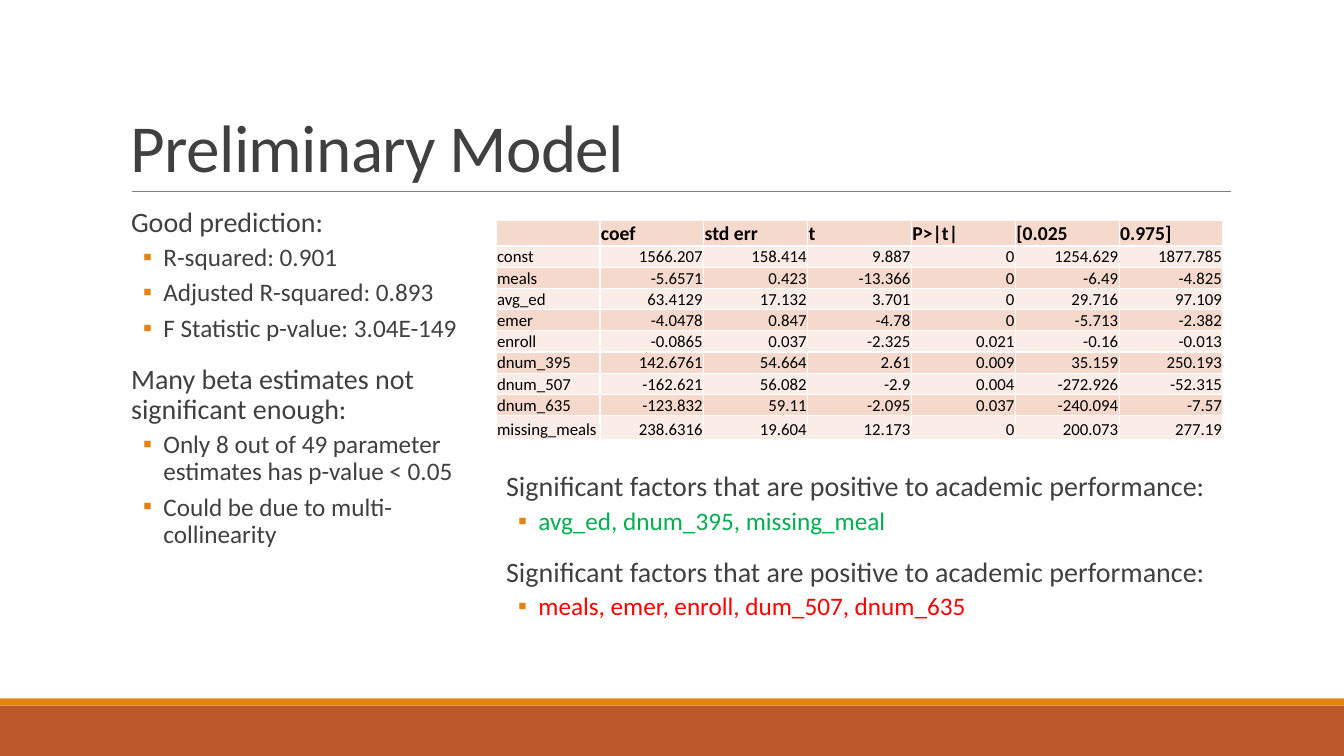
from lxml import etree
from pptx import Presentation
from pptx.dml.color import RGBColor
from pptx.enum.shapes import MSO_CONNECTOR, MSO_SHAPE
from pptx.enum.text import MSO_ANCHOR, PP_ALIGN
from pptx.oxml.ns import qn
from pptx.util import Inches, Pt

BOTTOM, TOP = MSO_ANCHOR.BOTTOM, MSO_ANCHOR.TOP
LEFT, RIGHT = PP_ALIGN.LEFT, PP_ALIGN.RIGHT
RECTANGLE, STRAIGHT = MSO_SHAPE.RECTANGLE, MSO_CONNECTOR.STRAIGHT

FONT = "Calibri"
COLORS = {
    "text": "404040", "rule": "808080", "accent": "E48312", "footer": "BD582C",
    "positive": "00B050", "negative": "FF0000", "black": "000000",
    "border": "FFFFFF", "dark_band": "F5D9CC", "light_band": "FAEDE7",
}

TITLE = "Preliminary Model"
# Each outline entry: level, text, colour
FINDINGS = [
    (0, "Good prediction:", "text"),
    (1, "R-squared: 0.901", "text"),
    (1, "Adjusted R-squared: 0.893", "text"),
    (1, "F Statistic p-value: 3.04E-149", "text"),
    (0, "Many beta estimates not significant enough:", "text"),
    (1, "Only 8 out of 49 parameter estimates has p-value < 0.05", "text"),
    (1, "Could be due to multi-collinearity", "text"),
]
FACTORS = [
    (0, "Significant factors that are positive to academic performance:", "text"),
    (1, "avg_ed, dnum_395, missing_meal", "positive"),
    (0, "Significant factors that are positive to academic performance:", "text"),
    (1, "meals, emer, enroll, dum_507, dnum_635", "negative"),
]
COEFFICIENTS = [
    ("", "coef", "std err", "t", "P>|t|", "[0.025", "0.975]"),
    ("const", "1566.207", "158.414", "9.887", "0", "1254.629", "1877.785"),
    ("meals", "-5.6571", "0.423", "-13.366", "0", "-6.49", "-4.825"),
    ("avg_ed", "63.4129", "17.132", "3.701", "0", "29.716", "97.109"),
    ("emer", "-4.0478", "0.847", "-4.78", "0", "-5.713", "-2.382"),
    ("enroll", "-0.0865", "0.037", "-2.325", "0.021", "-0.16", "-0.013"),
    ("dnum_395", "142.6761", "54.664", "2.61", "0.009", "35.159", "250.193"),
    ("dnum_507", "-162.621", "56.082", "-2.9", "0.004", "-272.926", "-52.315"),
    ("dnum_635", "-123.832", "59.11", "-2.095", "0.037", "-240.094", "-7.57"),
    ("missing_meals", "238.6316", "19.604", "12.173", "0", "200.073", "277.19"),
]

# Per level: size, left margin, hanging indent, space before, space after, bullet
LEVELS = [(20, 0.1, 0.1, 12, 2, " "), (18, 0.42, 0.2, 2, 4, "▪")]

TABLE_LEFT, TABLE_TOP, TABLE_WIDTH = 4.92, 2.19, 7.21
HEADER_HEIGHT, ROW_HEIGHT, LAST_HEIGHT = 0.25, 0.21, 0.24


def rgb(name):
    return RGBColor.from_string(COLORS[name])


def add_element(parent, tag, **attributes):
    return etree.SubElement(parent, qn(tag), attributes)


def add_color(parent, name):
    add_element(parent, "a:srgbClr", val=COLORS[name])


def add_text(paragraph, text, size, color, bold=False):
    run = paragraph.add_run()
    run.text = text
    font = run.font
    font.name, font.size, font.bold = FONT, Pt(size), bold
    font.color.rgb = rgb(color)
    return run


def add_frame(slide, box, anchor, side_inset):
    frame = slide.shapes.add_textbox(*map(Inches, box)).text_frame
    frame.word_wrap = True
    frame.vertical_anchor = anchor
    frame.margin_left = frame.margin_right = Inches(side_inset)
    return frame


def add_band(slide, top, height, color):
    band = slide.shapes.add_shape(
        RECTANGLE, 0, Inches(top), Inches(13.33), Inches(height))
    band.shadow.inherit = False
    band.fill.solid()
    band.fill.fore_color.rgb = rgb(color)
    band.line.fill.background()


def add_title(slide):
    rule = slide.shapes.add_connector(
        STRAIGHT, Inches(1.31), Inches(1.9), Inches(12.21), Inches(1.9))
    rule.line.color.rgb = rgb("rule")
    rule.line.width = Pt(0.5)
    add_element(rule._element.spPr, "a:effectLst")

    paragraph = add_frame(slide, (1.2, 0.31, 11, 1.59), BOTTOM, 0.1).paragraphs[0]
    paragraph.line_spacing = 0.85
    title = add_text(paragraph, TITLE, 48, "text")
    title.font._element.set("spc", "-50")


def add_outline(slide, box, entries):
    frame = add_frame(slide, box, TOP, 0)
    for index, (level, text, color) in enumerate(entries):
        paragraph = frame.add_paragraph() if index else frame.paragraphs[0]
        size, margin, hanging, before, after, bullet = LEVELS[level]
        paragraph.level = level
        paragraph.line_spacing = 0.9
        paragraph.space_before, paragraph.space_after = Pt(before), Pt(after)
        properties = paragraph._p.get_or_add_pPr()
        properties.set("marL", str(Inches(margin)))
        properties.set("indent", str(-Inches(hanging)))
        add_color(add_element(properties, "a:buClr"), "accent")
        add_element(properties, "a:buFont", typeface=FONT)
        add_element(properties, "a:buChar", char=bullet)
        add_text(paragraph, text, size, color)


def style_cell(cell, band):
    cell.margin_left = cell.margin_right = cell.margin_top = Inches(0.01)
    cell.margin_bottom = 0
    cell.vertical_anchor = BOTTOM
    properties = cell._tc.get_or_add_tcPr()
    for side in ("a:lnL", "a:lnR", "a:lnT", "a:lnB"):
        border = add_element(properties, side, w=str(Pt(1)))
        add_color(add_element(border, "a:solidFill"), "border")
    cell.fill.solid()
    cell.fill.fore_color.rgb = rgb(band)


def add_coefficients(slide):
    row_count, column_count = len(COEFFICIENTS), len(COEFFICIENTS[0])
    heights = [HEADER_HEIGHT] + [ROW_HEIGHT] * (row_count - 2) + [LAST_HEIGHT]
    table = slide.shapes.add_table(
        row_count, column_count, Inches(TABLE_LEFT), Inches(TABLE_TOP),
        Inches(TABLE_WIDTH), Inches(sum(heights))).table
    table.first_row = table.horz_banding = False
    for column in table.columns:
        column.width = Inches(TABLE_WIDTH / column_count)
    for row_index, values in enumerate(COEFFICIENTS):
        table.rows[row_index].height = Inches(heights[row_index])
        header = row_index == 0
        size = 14 if header else 12
        for column_index, value in enumerate(values):
            cell = table.cell(row_index, column_index)
            style_cell(cell, "light_band" if row_index % 2 else "dark_band")
            paragraph = cell.text_frame.paragraphs[0]
            paragraph.alignment = LEFT if header or column_index == 0 else RIGHT
            if value:
                add_text(paragraph, value, size, "black", header)
            else:
                add_element(paragraph._p, "a:endParaRPr", sz=str(size * 100))


def main():
    presentation = Presentation()
    presentation.slide_width = Inches(13.33)
    presentation.slide_height = Inches(7.5)
    slide = presentation.slides.add_slide(presentation.slide_layouts[6])
    add_band(slide, 7, 0.5, "footer")
    add_band(slide, 6.93, 0.07, "accent")
    add_title(slide)
    add_outline(slide, (1.2, 2.02, 3.62, 4.4), FINDINGS)
    add_coefficients(slide)
    add_outline(slide, (TABLE_LEFT, 4.64, 8.5, 1.95), FACTORS)
    presentation.save("out.pptx")


if __name__ == "__main__":
    main()
